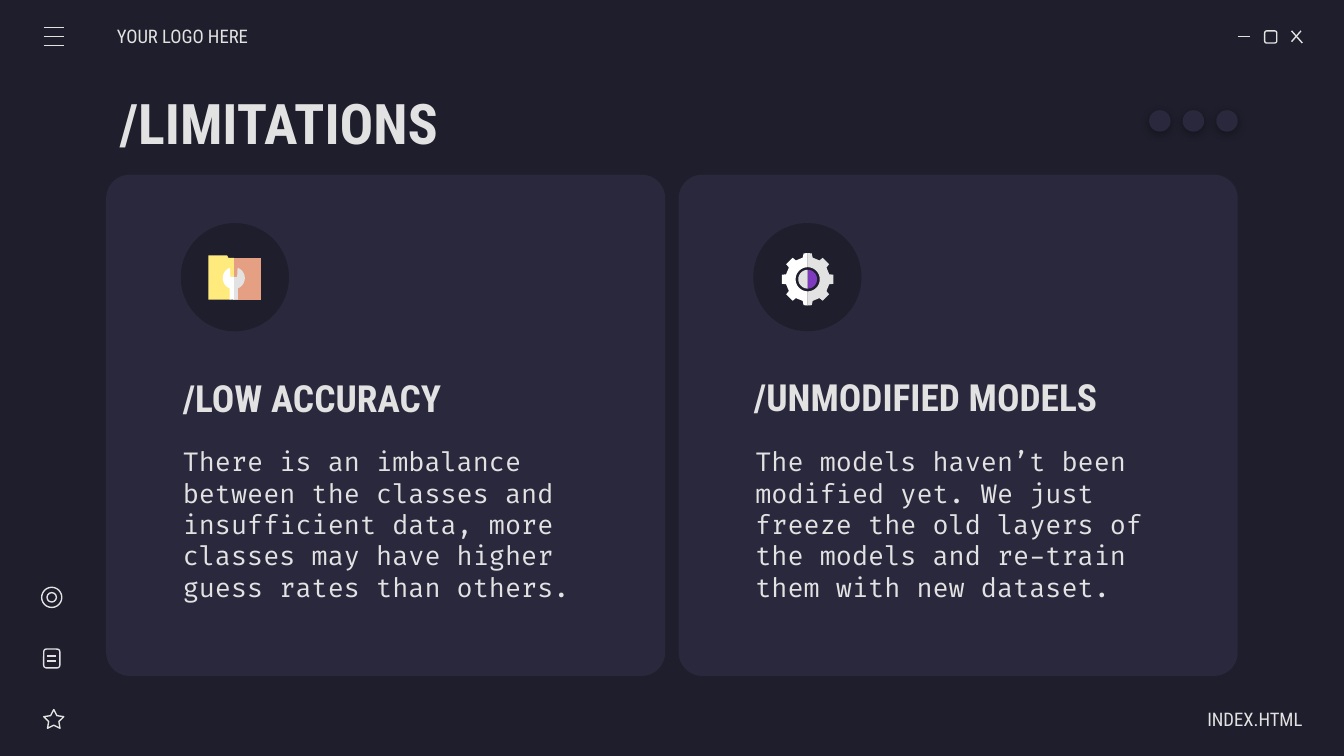
import math

import pptx
import pptx.dml.color
import pptx.enum.shapes
import pptx.enum.text
import pptx.oxml
import pptx.oxml.ns
import pptx.util

RGB = pptx.dml.color.RGBColor
SHAPE = pptx.enum.shapes.MSO_SHAPE
ALIGN = pptx.enum.text.PP_ALIGN

NIGHT = RGB(0x1E, 0x1E, 0x2C)
PANEL = RGB(0x29, 0x28, 0x3D)
PALE = RGB(0xE2, 0xE2, 0xE2)
WHITE = RGB(0xFF, 0xFF, 0xFF)
YELLOW = RGB(0xFF, 0xEA, 0x7D)
SALMON = RGB(0xE5, 0xA0, 0x83)
PURPLE = RGB(0x7E, 0x3B, 0xBE)

SANS = "Roboto Condensed"
MONO = "Fira Code"

# The slide is a 16:9 grid of square cells, 100 columns by 56.25 rows.
CELL = pptx.util.Inches(0.1)
COLUMNS, ROWS = 100, 56.25
CARD_LEFT, CARD_STEP = 7.9, 42.6

CARDS = [
    ("/LOW ACCURACY", (12.6, 27, 32.2, 5.1), 1,
     "There is an imbalance between the classes and insufficient data, "
     "more classes may have higher guess rates than others."),
    ("/UNMODIFIED MODELS", (56.1, 28, 32.2, 3), 0,
     "The models haven\u2019t been modified yet. We just freeze the old "
     "layers of the models and re-train them with new dataset."),
]


def cells(*values):
    """Convert grid cells to lengths."""
    return [pptx.util.Emu(round(value * CELL)) for value in values]


def add_solid(page, kind, area, color, corner=None):
    """Add a filled shape without a line."""
    shape = page.shapes.add_shape(kind, *cells(*area))
    shape.shadow.inherit = False
    shape.fill.solid()
    shape.fill.fore_color.rgb = color
    shape.line.fill.background()
    if corner is not None:
        shape.adjustments[0] = corner
    return shape


def add_outline(page, kind, area):
    """Add a hollow icon part."""
    shape = page.shapes.add_shape(kind, *cells(*area))
    shape.shadow.inherit = False
    shape.fill.background()
    shape.line.color.rgb = PALE
    shape.line.width = pptx.util.Pt(0.75)
    return shape


def add_stroke(page, *ends):
    """Add a thin line between two grid points."""
    line = page.shapes.add_connector(
        pptx.enum.shapes.MSO_CONNECTOR.STRAIGHT, *cells(*ends))
    line.line.color.rgb = PALE
    line.line.width = pptx.util.Pt(0.75)
    line._element.spPr.append(pptx.oxml.parse_xml(
        "<a:effectLst %s/>" % pptx.oxml.ns.nsdecls("a")))


def add_polygon(page, center, points, color, side=1):
    """Fill an outline given around a center; side -1 mirrors it."""
    spots = [cells(center[0] + side * x, center[1] + y) for x, y in points]
    builder = page.shapes.build_freeform(*spots[0], scale=1.0)
    builder.add_line_segments(spots[1:], close=True)
    shape = builder.convert_to_shape()
    shape.shadow.inherit = False
    shape.fill.solid()
    shape.fill.fore_color.rgb = color
    shape.line.fill.background()


def polar(radius, degrees):
    """Return the point at an angle, clockwise from the right."""
    angle = math.radians(degrees)
    return radius * math.cos(angle), radius * math.sin(angle)


def arc(radius, start, end, steps=16):
    """Return points along an arc."""
    return [polar(radius, start + (end - start) * step / steps)
            for step in range(steps + 1)]


def write(box, area, text, size, font=SANS, bold=False, align=ALIGN.LEFT,
          left=1, right=1):
    """Place a text shape in front and format its only paragraph."""
    box.left, box.top, box.width, box.height = cells(*area)
    box._element.getparent().append(box._element)
    frame = box.text_frame
    frame.text = text
    frame.word_wrap = True
    frame.auto_size = pptx.enum.text.MSO_AUTO_SIZE.NONE
    frame.vertical_anchor = pptx.enum.text.MSO_ANCHOR.MIDDLE
    frame.margin_left, frame.margin_right = cells(left, right)
    frame.margin_top = frame.margin_bottom = CELL
    para = frame.paragraphs[0]
    para.alignment = align
    para.space_before = pptx.util.Pt(0)
    properties = para._p.get_or_add_pPr()
    properties.set("marL", "0")
    properties.set("indent", "0")
    properties.append(pptx.oxml.parse_xml(
        "<a:buNone %s/>" % pptx.oxml.ns.nsdecls("a")))
    span = para.runs[0]
    span.font.size = pptx.util.Pt(size)
    span.font.name = font
    span.font.bold = bold
    span.font.color.rgb = PALE


def draw_window_controls(page):
    """Draw minimize, maximize and close."""
    add_stroke(page, 92.1, 2.7, 93, 2.7)
    add_outline(page, SHAPE.ROUNDED_RECTANGLE, (94.1, 2.3, 0.9, 0.9))
    add_stroke(page, 96.1, 2.3, 96.9, 3.2)
    add_stroke(page, 96.8, 2.3, 96.1, 3.1)


def draw_side_icons(page):
    """Draw the menu, target, note and star icons."""
    for row in (2.05, 2.72, 3.4):
        add_stroke(page, 3.25, row, 4.75, row)
    for left, top, size in ((3.1, 43.7, 1.5), (3.5, 44.1, 0.7)):
        add_outline(page, SHAPE.OVAL, (left, top, size, size))
    add_outline(page, SHAPE.ROUNDED_RECTANGLE, (3.25, 48.3, 1.2, 1.4))
    for row in (48.8, 49.2):
        add_stroke(page, 3.5, row, 4.2, row)
    star = add_outline(page, SHAPE.STAR_5_POINT, (3.25, 52.8, 1.5, 1.4))
    star.adjustments[0] = 0.254


def draw_dots(page):
    """Draw three dots with soft shadows."""
    for index in range(3):
        dot = add_solid(page, SHAPE.OVAL,
                        (85.5 + 2.5 * index, 8.2, 1.6, 1.6), PANEL)
        effects = dot._element.spPr.find(pptx.oxml.ns.qn("a:effectLst"))
        effects.append(pptx.oxml.parse_xml(
            '<a:outerShdw %s blurRad="57150" dist="19050" dir="5400000" '
            'algn="bl" rotWithShape="0"><a:srgbClr val="000000">'
            '<a:alpha val="30000"/></a:srgbClr></a:outerShdw>'
            % pptx.oxml.ns.nsdecls("a")))


def draw_folder(page):
    """Draw the two-tone folder with a wrench."""
    center = (17.4, 20.7)
    back = [(-0.1, -1.5), (2, -1.5), (2, 1.6), (-0.1, 1.6)]
    front = [(-1.9, -1.7), (-0.5, -1.7), (-0.4, -1.5), (0, -1.5),
             (0, 1.5), (-0.3, 1.6), (-1.9, 1.6)]
    wrench = [(0, -0.1), (0, 1.6), (0.3, 1.6), *arc(0.82, 68, -70),
              (0.25, -0.1)]
    add_polygon(page, center, back, SALMON)
    add_polygon(page, center, front, YELLOW)
    add_polygon(page, center, wrench, PALE)
    add_polygon(page, center, wrench, WHITE, side=-1)


def draw_gear(page):
    """Draw the two-tone gear with eight teeth."""
    center = (60.1, 20.78)
    tip, base, hole = 1.95, 1.65, 0.9
    rim = [(0, -tip), polar(tip, -81), polar(base, -77)]
    for tooth in (-45, 0, 45):
        rim += [polar(base, tooth - 13), polar(tip, tooth - 10),
                polar(tip, tooth + 10), polar(base, tooth + 13)]
    rim += [polar(base, 77), polar(tip, 81), (0, tip), *arc(hole, 90, -90)]
    for side, rim_color, hub_color in ((1, PALE, PURPLE), (-1, WHITE, PALE)):
        add_polygon(page, center, arc(0.7, -90, 90), hub_color, side)
        add_polygon(page, center, rim, rim_color, side)


def main():
    """Build the slide."""
    deck = pptx.Presentation()
    deck.slide_width, deck.slide_height = cells(COLUMNS, ROWS)
    page = deck.slides.add_slide(deck.slide_layouts.get_by_name("Comparison"))
    page.background.fill.solid()
    page.background.fill.fore_color.rgb = NIGHT
    bodies = list(page.placeholders)[1:]

    draw_window_controls(page)
    draw_side_icons(page)
    draw_dots(page)
    write(page.shapes.title, (7.9, 5.9, 84.3, 6.3), "/LIMITATIONS", 30,
          bold=True)
    for index, (heading, area, inset, body) in enumerate(CARDS):
        shift = CARD_STEP * index
        add_solid(page, SHAPE.ROUNDED_RECTANGLE,
                  (CARD_LEFT + shift, 13, 41.6, 37.3), PANEL, corner=0.047)
        add_solid(page, SHAPE.OVAL, (13.45 + shift, 16.6, 8.05, 8.05), NIGHT)
        write(bodies[2 * index], area, heading, 20, bold=True, left=inset)
        write(bodies[2 * index + 1], (12.6 + shift, 32, 32.2, 14), body, 14,
              font=MONO)
    draw_folder(page)
    draw_gear(page)

    labels = [("YOUR LOGO HERE", (8.7, 1.2, 11.7, 3), ALIGN.LEFT, 0, 1),
              ("INDEX.HTML", (85.2, 52, 11.7, 3), ALIGN.RIGHT, 1, 0)]
    for text, area, align, left, right in labels:
        box = page.shapes.add_textbox(*cells(*area))
        write(box, area, text, 10, align=align, left=left, right=right)
    deck.save("out.pptx")


main()
